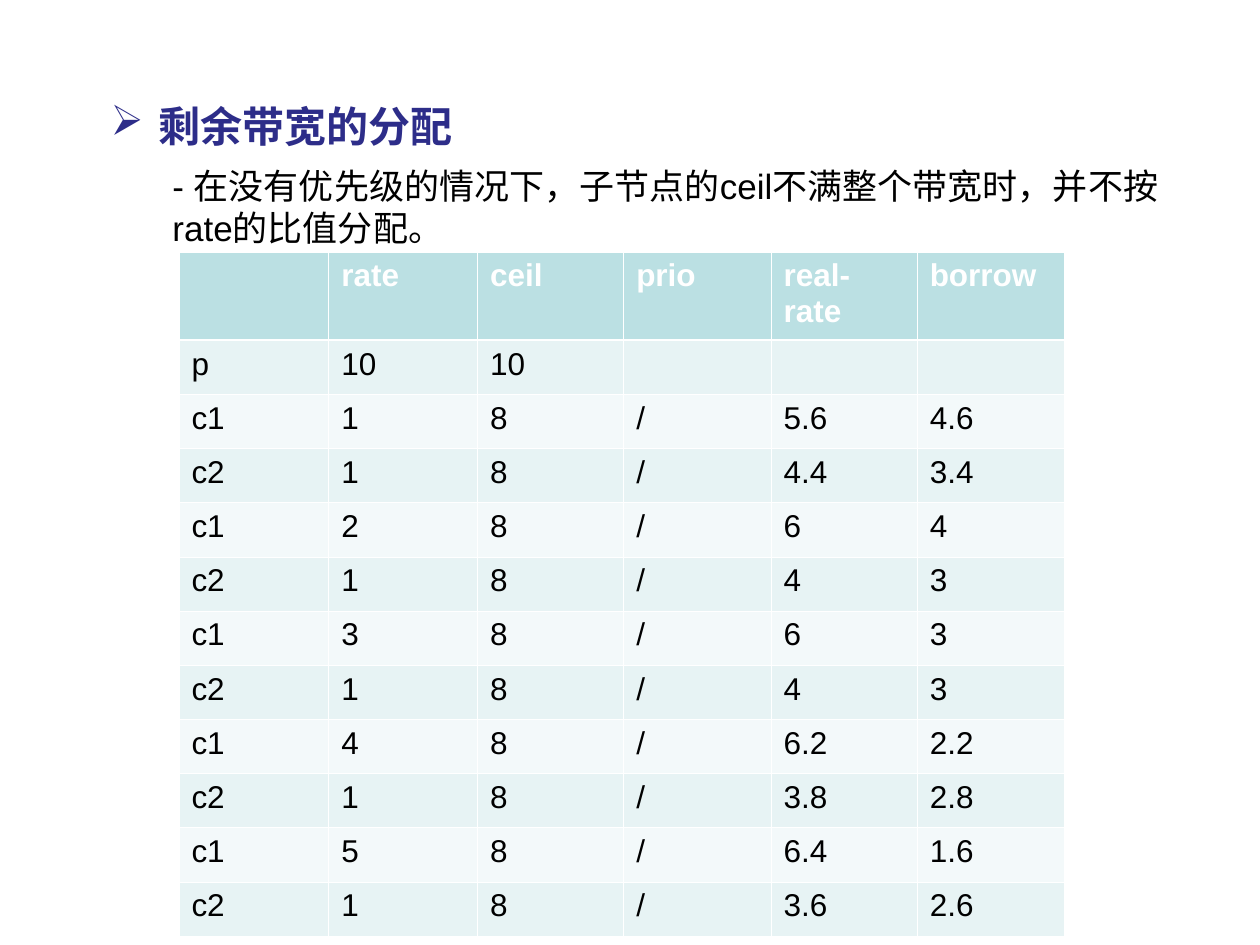
from dataclasses import dataclass

from lxml import etree
from pptx import Presentation
from pptx import util as u
from pptx.dml.color import RGBColor
from pptx.enum import text
from pptx.oxml import ns


@dataclass(frozen=True)
class Theme:
    font: str = "Arial"
    heading: str = "2D2D89"
    ink: str = "000000"
    white: str = "FFFFFF"
    header_fill: str = "BBE0E3"
    band_fills: tuple[str, str] = ("E7F3F4", "F3F9FA")
    heading_size: int = 24
    body_size: int = 20
    table_size: int = 18
    thin_line: float = 0.45
    header_line: float = 1.47


@dataclass(frozen=True)
class TextBlock:
    words: str
    left: float
    top: float
    width: float
    height: float
    size: int
    color: str
    bold: bool = False


@dataclass(frozen=True)
class Share:
    """One child node's limits and the bandwidth it ends up with."""
    node: str
    rate: str
    real_rate: str
    borrow: str

    def cells(self) -> tuple[str, ...]:
        return self.node, self.rate, "8", "/", self.real_rate, self.borrow


THEME = Theme()
HEADING = TextBlock("剩余带宽的分配", 0.78, 0.75, 3.45, 0.5,
                    THEME.heading_size, THEME.heading, True)
EXPLANATION = TextBlock(
    "- 在没有优先级的情况下，子节点的ceil不满整个带宽时，并不按rate的比值分配。",
    1.27, 1.26, 8.22, 0.77, THEME.body_size, THEME.ink)
SHARES = (
    Share("c1", "1", "5.6", "4.6"), Share("c2", "1", "4.4", "3.4"),
    Share("c1", "2", "6", "4"), Share("c2", "1", "4", "3"),
    Share("c1", "3", "6", "3"), Share("c2", "1", "4", "3"),
    Share("c1", "4", "6.2", "2.2"), Share("c2", "1", "3.8", "2.8"),
    Share("c1", "5", "6.4", "1.6"), Share("c2", "1", "3.6", "2.6"),
)
ROWS = (
    ("", "rate", "ceil", "prio", "real-rate", "borrow"),
    ("p", "10", "10", "", "", ""),
    *(share.cells() for share in SHARES),
)
COLUMN_WIDTHS = (1.19, 1.18, 1.16, 1.17, 1.16, 1.17)
HEADER_HEIGHT, ROW_HEIGHT = 0.7, 0.43


def format_runs(paragraph, size: int, color: str, bold: bool) -> None:
    for run in paragraph.runs:
        run.font.name = THEME.font
        run.font.size = u.Pt(size)
        run.font.bold = bold
        run.font.color.rgb = RGBColor.from_string(color)


def add_text(slide, block: TextBlock):
    """Draw a wrapped text block and return its paragraph."""
    frame = slide.shapes.add_textbox(
        u.Inches(block.left), u.Inches(block.top),
        u.Inches(block.width), u.Inches(block.height)).text_frame
    frame.word_wrap = True
    frame.auto_size = text.MSO_AUTO_SIZE.SHAPE_TO_FIT_TEXT
    frame.text = block.words
    paragraph = frame.paragraphs[0]
    format_runs(paragraph, block.size, block.color, block.bold)
    return paragraph


def add_arrow_bullet(paragraph, color: str) -> None:
    properties = paragraph._p.get_or_add_pPr()
    indent = u.Inches(0.38)
    properties.set("marL", str(indent))
    properties.set("indent", str(-indent))
    bullet_color = etree.SubElement(properties, ns.qn("a:buClr"))
    etree.SubElement(bullet_color, ns.qn("a:srgbClr"), val=color)
    etree.SubElement(properties, ns.qn("a:buChar"), char="➢")


def add_borders(cell, top: float, bottom: float) -> None:
    properties = cell._tc.get_or_add_tcPr()
    widths = {"L": THEME.thin_line, "R": THEME.thin_line, "T": top, "B": bottom}
    for side, width in widths.items():
        line = etree.SubElement(properties, ns.qn(f"a:ln{side}"), w=str(u.Pt(width)))
        fill = etree.SubElement(line, ns.qn("a:solidFill"))
        etree.SubElement(fill, ns.qn("a:srgbClr"), val=THEME.white)


def fill_cell(cell, words: str, row: int) -> None:
    is_header = row == 0
    add_borders(cell,
                top=THEME.header_line if row == 1 else THEME.thin_line,
                bottom=THEME.header_line if is_header else THEME.thin_line)
    band = THEME.header_fill if is_header else THEME.band_fills[(row - 1) % 2]
    cell.fill.solid()
    cell.fill.fore_color.rgb = RGBColor.from_string(band)
    cell.text_frame.text = words
    format_runs(cell.text_frame.paragraphs[0], THEME.table_size,
                THEME.white if is_header else THEME.ink, is_header)


def add_share_table(slide) -> None:
    heights = [HEADER_HEIGHT] + [ROW_HEIGHT] * (len(ROWS) - 1)
    table = slide.shapes.add_table(
        len(ROWS), len(COLUMN_WIDTHS), u.Inches(1.42), u.Inches(2),
        u.Inches(sum(COLUMN_WIDTHS)), u.Inches(sum(heights))).table
    for column, width in zip(table.columns, COLUMN_WIDTHS):
        column.width = u.Inches(width)
    for row, (values, height) in enumerate(zip(ROWS, heights)):
        table.rows[row].height = u.Inches(height)
        for column, words in enumerate(values):
            fill_cell(table.cell(row, column), words, row)


def main() -> None:
    deck = Presentation()
    deck.slide_width, deck.slide_height = u.Inches(10), u.Inches(7.5)
    slide = deck.slides.add_slide(deck.slide_layouts[6])
    add_arrow_bullet(add_text(slide, HEADING), THEME.heading)
    add_text(slide, EXPLANATION)
    add_share_table(slide)
    deck.save("out.pptx")


if __name__ == "__main__":
    main()
